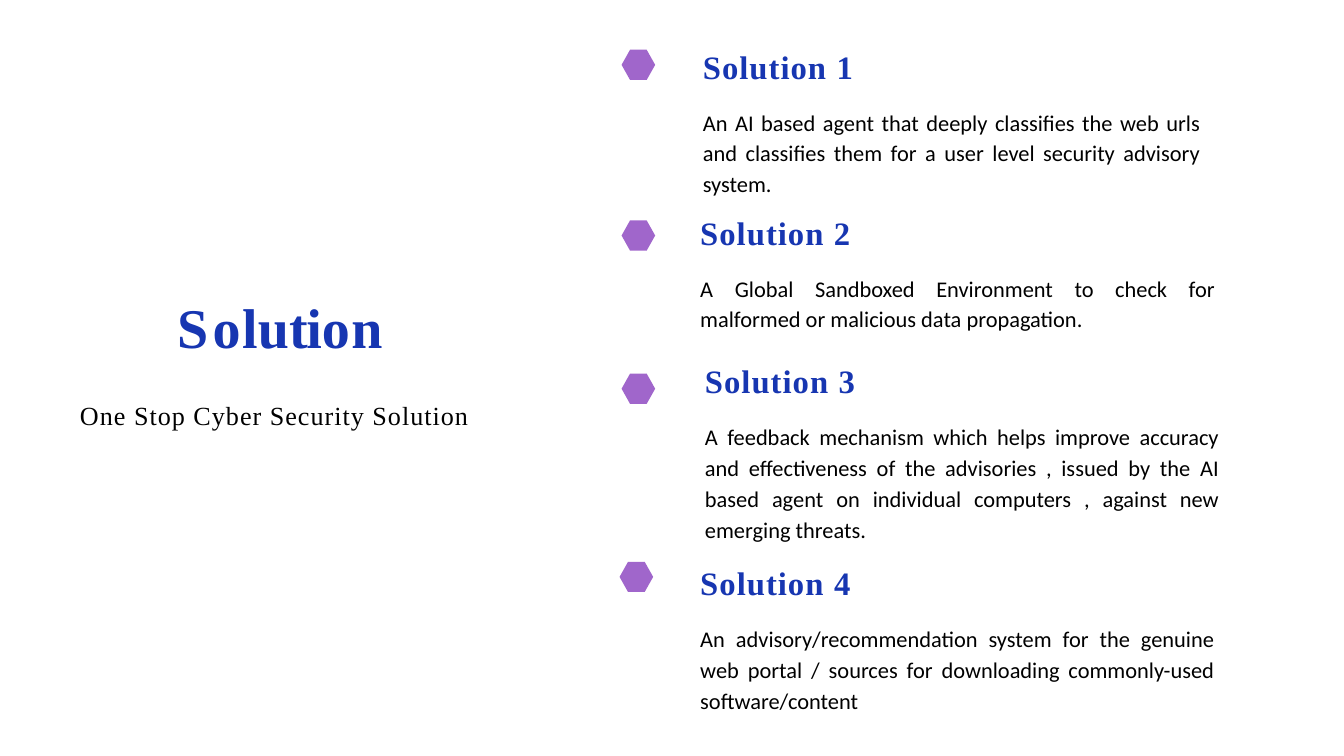
from pptx import Presentation
from pptx.dml.color import RGBColor
from pptx.enum.shapes import MSO_SHAPE
from pptx.enum.text import MSO_ANCHOR, MSO_AUTO_SIZE, PP_ALIGN
from pptx.util import Inches, Pt

BLUE = RGBColor(0x17, 0x36, 0xB1)
BLACK = RGBColor(0, 0, 0)
PURPLE = RGBColor(0xA0, 0x66, 0xCB)
SERIF, SANS = "Times New Roman", "Calibri"
HEX = MSO_SHAPE.HEXAGON
TOP, NO_FIT = MSO_ANCHOR.TOP, MSO_AUTO_SIZE.NONE
LEFT, MID, JUST = PP_ALIGN.LEFT, PP_ALIGN.CENTER, PP_ALIGN.JUSTIFY

# Content: letters of the title with their tracking in points
TITLE = [("S", 4.7), ("o", 1.6), ("l", 0.1), ("u", -1.5), ("ti", -1.4),
         ("o", 1.6), ("n", -1)]
MOTTO = [("One Stop Cyber Security Solution", 1.1)]

# Number, text, text box (left, top, width, height), marker (left, top)
ITEMS = [
    ("1", "An AI based agent that deeply classifies the web urls and "
          "classifies them for a user level security advisory system.",
     (10.46, 0.68, 7.4, 2.25), (9.25, 0.74)),
    ("2", "A Global Sandboxed Environment to check for malformed or "
          "malicious data propagation.",
     (10.42, 3.15, 7.66, 1.78), (9.25, 3.28)),
    ("3", "A feedback mechanism which helps improve accuracy and "
          "effectiveness of the advisories , issued by the AI based agent on "
          "individual computers , against new emerging threats.",
     (10.49, 5.36, 7.65, 2.71), (9.25, 5.56)),
    ("4", "An advisory/recommendation system for the genuine web portal / "
          "sources for downloading commonly-used software/content",
     (10.42, 8.37, 7.65, 2.25), (9.22, 8.36)),
]


def write(para, runs, size, font=SERIF, color=BLACK, bold=False, align=JUST,
          line=1.0, before=0):
    """Fill a paragraph with (text, tracking) runs in one format."""
    para.alignment, para.line_spacing = align, line
    para.space_before = Pt(before)
    for text, track in runs:
        run = para.add_run()
        run.text = text
        face = run.font
        face.size, face.name, face.bold = Pt(size), font, bold
        face.color.rgb = color
        run._r.get_or_add_rPr().set("spc", str(round(track * 100)))


def frame(shape, box):
    """Place a text shape and clear its margins."""
    shape.left, shape.top, shape.width, shape.height = map(Inches, box)
    text = shape.text_frame
    text.word_wrap, text.auto_size = True, NO_FIT
    text.vertical_anchor = TOP
    text.margin_left = text.margin_right = text.margin_bottom = 0
    text.margin_top = Inches(0.01)
    return text


deck = Presentation()
deck.slide_width, deck.slide_height = Inches(20), Inches(11.25)
slide = deck.slides.add_slide(deck.slide_layouts[0])

# Title and motto
head = frame(slide.shapes.title, (1.83, 4.34, 4.67, 1.02))
write(head.paragraphs[0], TITLE, 60, color=BLUE, bold=True, align=MID,
      before=1)
motto = frame(slide.placeholders[1], (1.19, 5.86, 7.0, 0.6))
write(motto.paragraphs[0], MOTTO, 28, align=LEFT, line=1.15)

# Solutions with their markers
for num, text, box, spot in ITEMS:
    mark = slide.shapes.add_shape(HEX, *map(Inches, (*spot, 0.5, 0.45)))
    mark.adjustments[0] = 0.28
    mark.shadow.inherit = False
    mark.fill.solid()
    mark.fill.fore_color.rgb = PURPLE
    mark.line.fill.background()

    body = frame(slide.shapes.add_textbox(0, 0, 0, 0), box)
    write(body.paragraphs[0], [("Solution ", 1.1), (num, -2)], 35,
          color=BLUE, bold=True, align=LEFT, before=1)
    write(body.add_paragraph(), [(text, 0)], 24, font=SANS, line=1.15,
          before=20.4)

deck.save("out.pptx")
